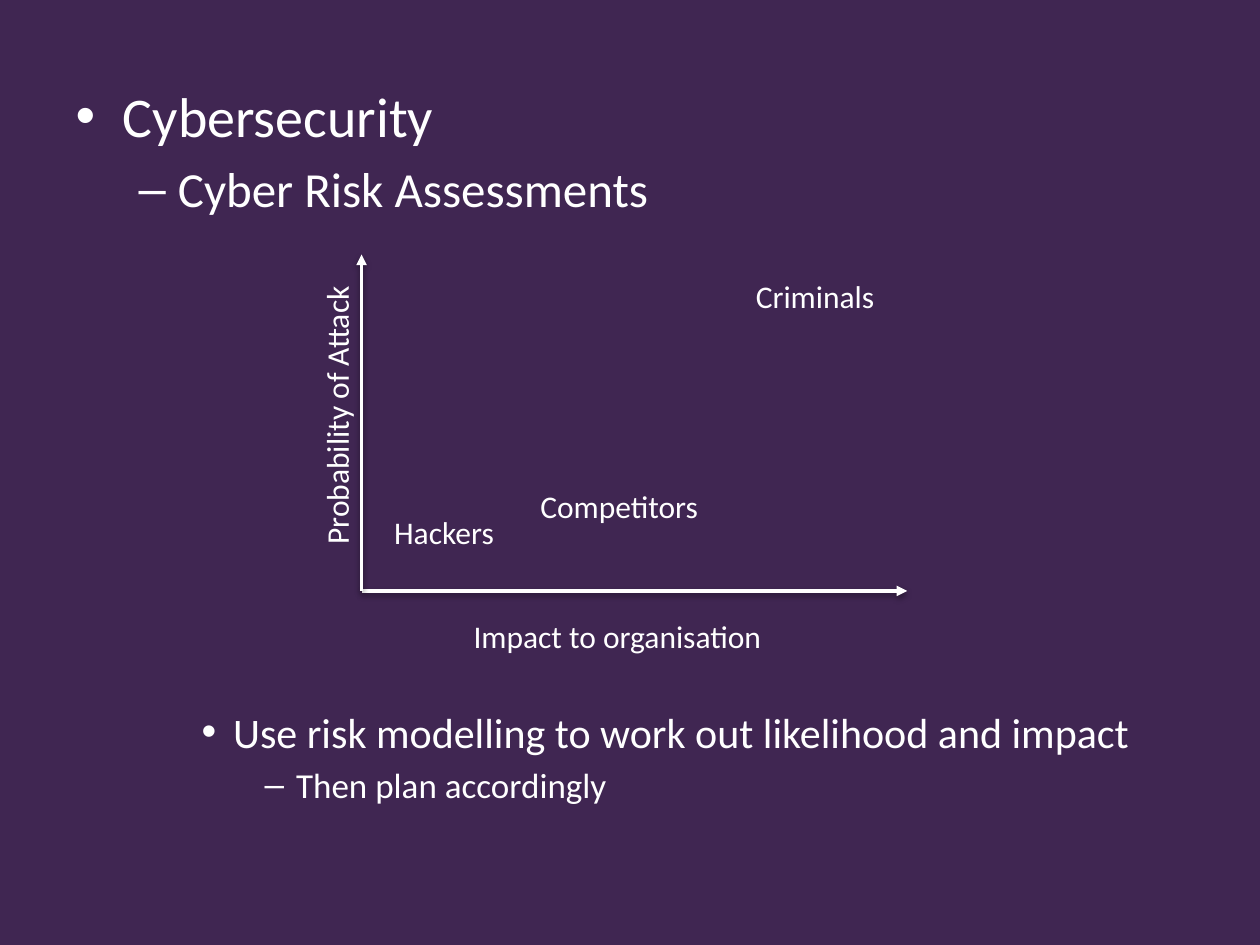
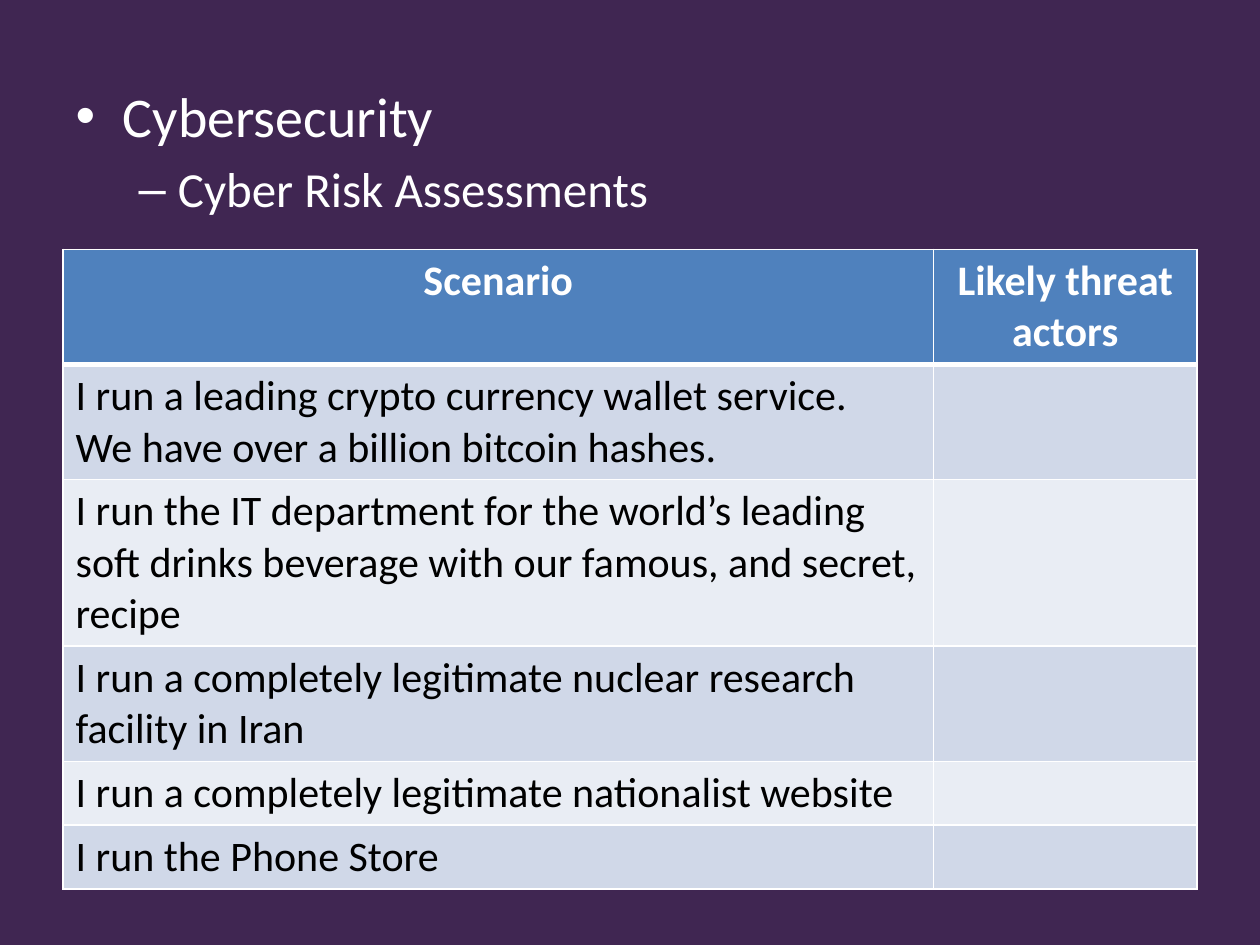
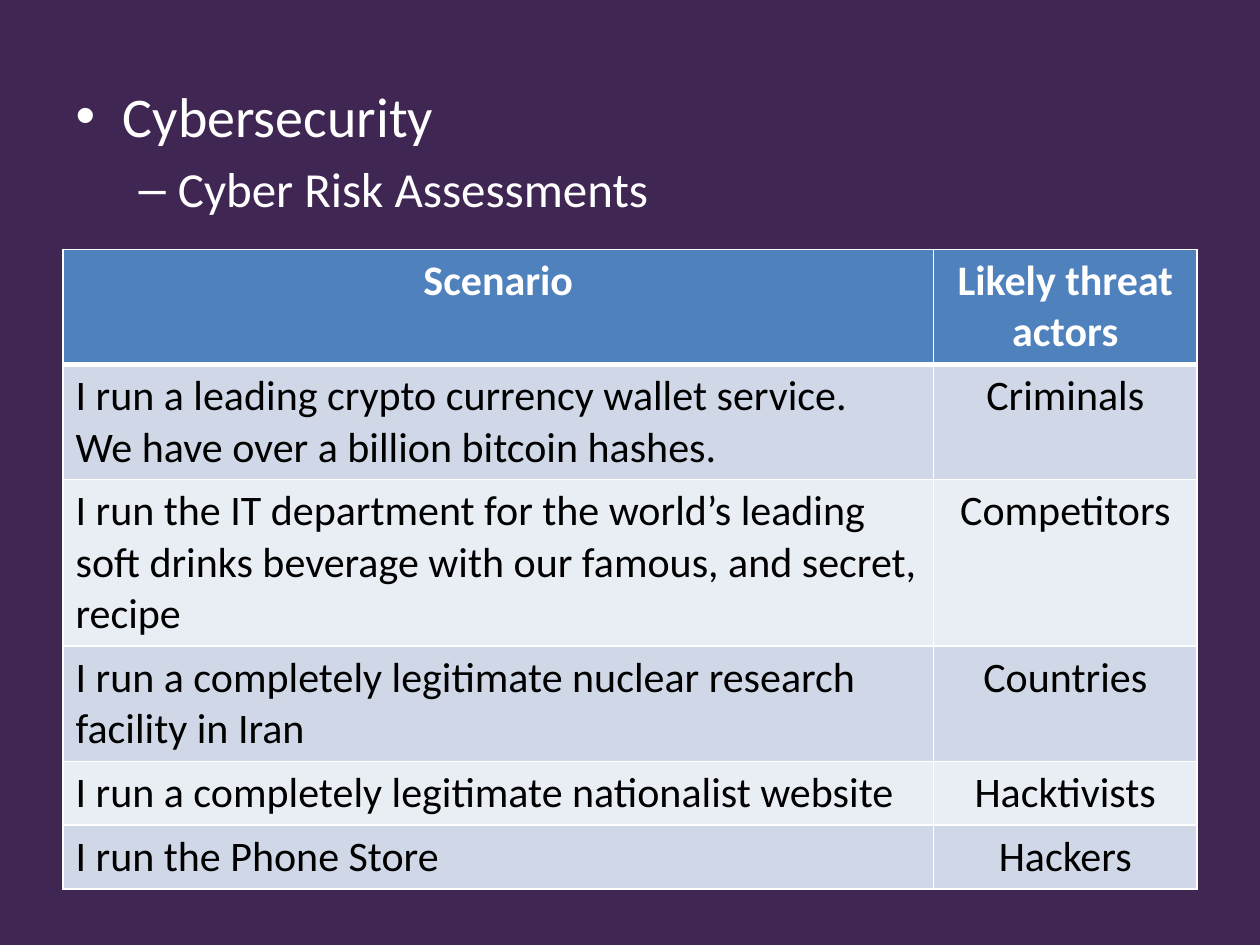
"""Build three slides on cyber risk assessments."""
from typing import NamedTuple

from lxml import etree
from pptx import Presentation
from pptx import util as u
from pptx.dml.color import RGBColor
from pptx.enum import shapes, text
from pptx.oxml import parse_xml
from pptx.oxml.ns import nsdecls, qn

PURPLE = RGBColor(0x40, 0x26, 0x52)
WHITE = RGBColor(0xFF, 0xFF, 0xFF)
BLACK = RGBColor(0x00, 0x00, 0x00)
HEADER_BLUE = RGBColor(0x4F, 0x81, 0xBD)
BANDS = (RGBColor(0xD0, 0xD8, 0xE8), RGBColor(0xE9, 0xED, 0xF4))
FONT = "Calibri"
LEVEL_SIZES = (32, 28, 24, 20)
SLIDE_WIDTH, SLIDE_HEIGHT = u.Inches(10), u.Inches(7.5)
COLUMNS, ROWS = 100, 75
LINE_ROWS, CELL_PADDING_ROWS = 4.07, 1


class Bullet(NamedTuple):
    words: str
    level: int
    space_before: float | None = None


class Label(NamedTuple):
    words: str
    left: float
    top: float
    width: float
    rotation: float = 0


class Scenario(NamedTuple):
    paragraphs: tuple[str, ...]
    line_count: int
    actor: str


HEADINGS = (Bullet("Cybersecurity", 0, 0), Bullet("Cyber Risk Assessments", 1))
ADVICE = (
    Bullet("Use risk modelling to work out likelihood and impact", 2, 279),
    Bullet("Then plan accordingly", 3),
)
ORIGIN = (28.7, 46.9)
AXIS_ENDS = ((72, ORIGIN[1]), (ORIGIN[0], 20.2))
LABELS = (
    Label("Impact to organisation", 36.6, 48.5, 25.1),
    Label("Probability of Attack", 15.3, 30.8, 22.8, 270),
    Label("Criminals", 59, 21.5, 11.5),
    Label("Hackers", 30.3, 40.2, 10),
    Label("Competitors", 41.9, 38.2, 14.7),
)
SCENARIOS = (
    Scenario(("I run a leading crypto currency wallet service.",
              "We have over a billion bitcoin hashes."), 2, "Criminals"),
    Scenario(("I run the IT department for the world’s leading soft drinks beverage "
              "with our famous, and secret, recipe",), 3, "Competitors"),
    Scenario(("I run a completely legitimate nuclear research facility in Iran",), 2, "Countries"),
    Scenario(("I run a completely legitimate nationalist website",), 1, "Hacktivists"),
    Scenario(("I run the Phone Store",), 1, "Hackers"),
)


def across(columns: float) -> u.Emu:
    """Turn grid columns into a length."""
    return u.Emu(round(SLIDE_WIDTH * columns / COLUMNS))


def down(rows: float) -> u.Emu:
    """Turn grid rows into a length."""
    return u.Emu(round(SLIDE_HEIGHT * rows / ROWS))


def add_run(paragraph, words: str, size: float, colour: RGBColor, bold: bool = False) -> None:
    """Add one formatted run."""
    run = paragraph.add_run()
    run.text = words
    run.font.name, run.font.size, run.font.bold = FONT, u.Pt(size), bold
    run.font.color.rgb = colour


def add_bulleted_slide(presentation, bullets: tuple[Bullet, ...]):
    """Add a slide whose body holds the bullets."""
    slide = presentation.slides.add_slide(presentation.slide_layouts[1])
    title = slide.shapes.title
    title.element.getparent().remove(title.element)
    body = slide.placeholders[1]
    body.left, body.top = across(5), down(6)
    body.width, body.height = across(90), down(67.7)
    frame = body.text_frame
    frame.auto_size = text.MSO_AUTO_SIZE.NONE
    for index, bullet in enumerate(bullets):
        paragraph = frame.add_paragraph() if index else frame.paragraphs[0]
        paragraph.level = bullet.level
        if bullet.space_before is not None:
            paragraph.space_before = u.Pt(bullet.space_before)
        add_run(paragraph, bullet.words, LEVEL_SIZES[bullet.level], WHITE)
    return slide


def add_axis(slide, end: tuple[float, float]) -> None:
    """Draw a shadowed arrow from the origin."""
    axis = slide.shapes.add_connector(
        shapes.MSO_CONNECTOR.STRAIGHT,
        across(ORIGIN[0]), down(ORIGIN[1]), across(end[0]), down(end[1]))
    axis.line.color.rgb, axis.line.width = WHITE, u.Pt(2)
    etree.SubElement(axis.line._get_or_add_ln(), qn("a:tailEnd"), type="triangle")
    axis.element.spPr.append(parse_xml(
        f'<a:effectLst {nsdecls("a")}><a:outerShdw blurRad="40000" dist="20000" dir="5400000" '
        f'rotWithShape="0"><a:srgbClr val="{BLACK}"><a:alpha val="38000"/></a:srgbClr>'
        '</a:outerShdw></a:effectLst>'))


def add_label(slide, label: Label) -> None:
    """Place a label on the risk diagram."""
    box = slide.shapes.add_textbox(across(label.left), down(label.top), across(label.width), down(4))
    box.rotation = label.rotation
    box.text_frame.word_wrap = False
    add_run(box.text_frame.paragraphs[0], label.words, 18, WHITE)


def add_borders(cell, top: float, bottom: float) -> None:
    """Give a cell white borders ahead of its fill."""
    properties = cell._tc.get_or_add_tcPr()
    widths = {"lnL": 1, "lnR": 1, "lnT": top, "lnB": bottom}
    for position, (side, width) in enumerate(widths.items()):
        properties.insert(position, parse_xml(
            f'<a:{side} {nsdecls("a")} w="{u.Pt(width)}"><a:solidFill>'
            f'<a:srgbClr val="{WHITE}"/></a:solidFill></a:{side}>'))


def fill_cell(cell, paragraphs: tuple[str, ...], row: int, centred: bool) -> None:
    """Write and colour a cell by its row."""
    header = row == 0
    cell.fill.solid()
    cell.fill.fore_color.rgb = HEADER_BLUE if header else BANDS[(row - 1) % 2]
    add_borders(cell, 3 if row == 1 else 1, 3 if header else 1)
    for index, words in enumerate(paragraphs):
        paragraph = cell.text_frame.add_paragraph() if index else cell.text_frame.paragraphs[0]
        if centred:
            paragraph.alignment = text.PP_ALIGN.CENTER
        add_run(paragraph, words, 24, WHITE if header else BLACK, header)


def add_scenario_table(slide, answered: bool) -> None:
    """Add the scenarios, with the threat actors when answered."""
    records = (Scenario(("Scenario",), 2, "Likely threat actors"), *SCENARIOS)
    heights = [record.line_count * LINE_ROWS + CELL_PADDING_ROWS for record in records]
    table = slide.shapes.add_table(
        len(records), 2, across(5), down(19.8), across(90), down(sum(heights))).table
    table.columns[0].width, table.columns[1].width = across(69.1), across(20.9)
    for row, (record, height) in enumerate(zip(records, heights)):
        table.rows[row].height = down(height)
        actor = (record.actor,) if answered or row == 0 else ()
        fill_cell(table.cell(row, 0), record.paragraphs, row, row == 0)
        fill_cell(table.cell(row, 1), actor, row, True)


def main() -> None:
    """Build and save the presentation."""
    presentation = Presentation()
    presentation.slide_width, presentation.slide_height = SLIDE_WIDTH, SLIDE_HEIGHT
    background = presentation.slide_master.background.fill
    background.solid()
    background.fore_color.rgb = PURPLE

    diagram = add_bulleted_slide(presentation, HEADINGS + ADVICE)
    for end in AXIS_ENDS:
        add_axis(diagram, end)
    for label in LABELS:
        add_label(diagram, label)

    for answered in (False, True):
        add_scenario_table(add_bulleted_slide(presentation, HEADINGS), answered)
    presentation.save("out.pptx")


if __name__ == "__main__":
    main()
